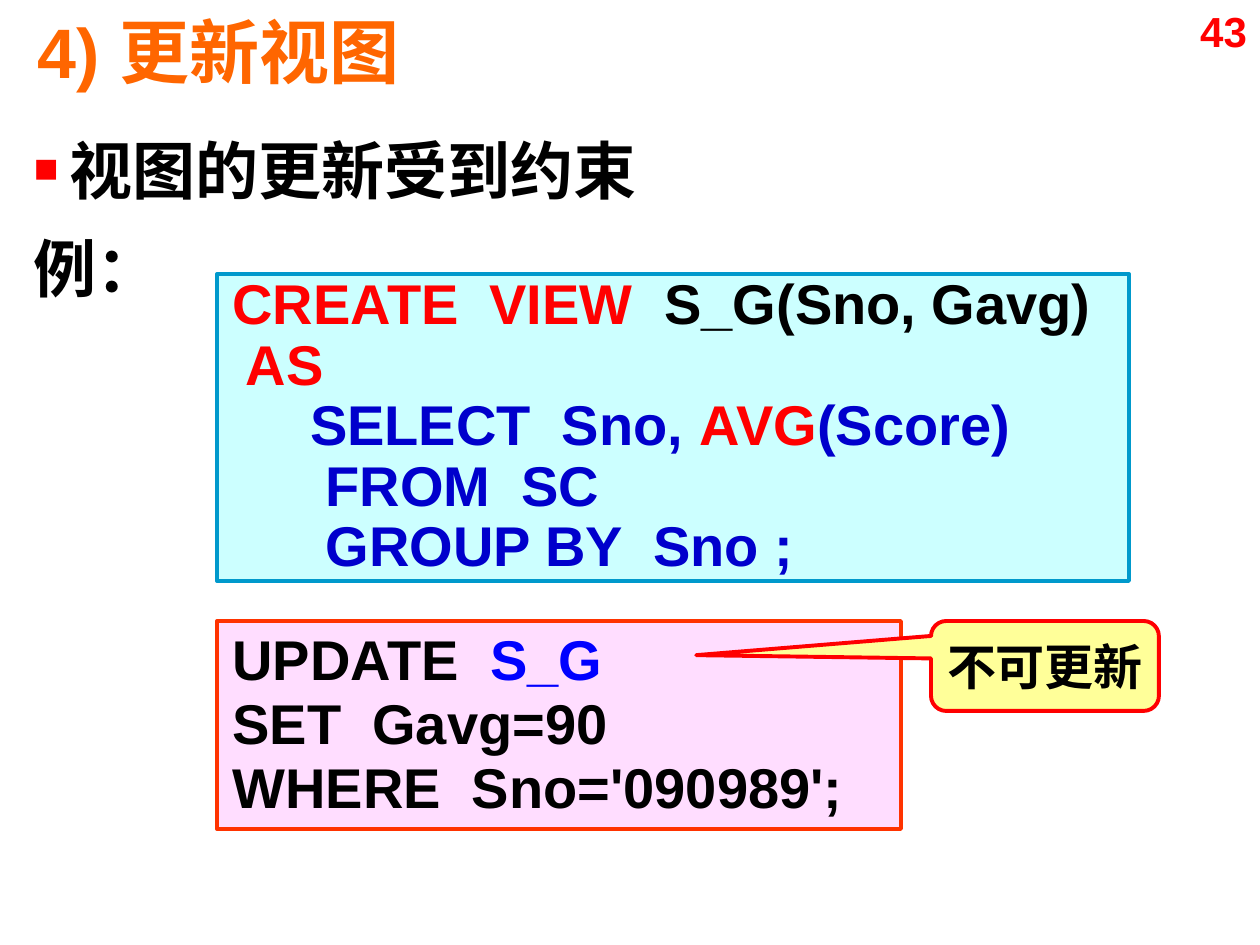
"""Build the slide on updating views, with its SQL boxes and callout."""
from lxml.etree import SubElement
from pptx import Presentation
from pptx.dml.color import RGBColor
from pptx.enum.shapes import MSO_SHAPE as Kind
from pptx.enum.text import MSO_ANCHOR as Anchor, MSO_AUTO_SIZE as Fit, PP_ALIGN as Align
from pptx.oxml.ns import qn
from pptx.util import Pt

PX = 914400 / 126
RED, BLACK, NAVY, BLUE = "FF0000", "000000", "0000CC", "0000FF"


def color(code):
    return RGBColor.from_string(code)


def write(box, lines, size=32, font="Arial", align=Align.LEFT, anchor=Anchor.MIDDLE,
          pad=(0, 0), gap=0, pitch=1.0):
    frame = box.text_frame
    frame.word_wrap = True
    frame.auto_size = Fit.NONE
    frame.vertical_anchor = anchor
    frame.margin_left = frame.margin_right = round(pad[0] * PX)
    frame.margin_top = frame.margin_bottom = round(pad[1] * PX)
    for row, line in enumerate(lines):
        para = frame.add_paragraph() if row else frame.paragraphs[0]
        para.alignment = align
        para.line_spacing = pitch
        para.space_before = Pt(gap if row else 0)
        for text, ink in line:
            run = para.add_run()
            run.text = text
            run.font.name = font
            run.font.size = Pt(size)
            run.font.bold = True
            run.font.color.rgb = color(ink)


deck = Presentation()
deck.slide_width = round(1260 * PX)
deck.slide_height = round(945 * PX)
slide = deck.slides.add_slide(deck.slide_layouts[1])
shapes = slide.shapes
title, body = shapes.title, slide.placeholders[1]

for box, place in ((title, (25, 16, 1193, 69)), (body, (21, 125, 1205, 764))):
    box.left, box.top, box.width, box.height = [round(n * PX) for n in place]

write(title, [[("4) 更新视图", "FF6600")]], size=40, pad=(13, 6))
write(body, [[("视图的更新受到约束", BLACK)], [("例：", BLACK)]], size=36,
      font="Times New Roman", anchor=Anchor.TOP, pad=(13, 6), gap=13)

first, last = [para._p.get_or_add_pPr() for para in body.text_frame.paragraphs]
for props in (first, last):
    props.set("marL", str(round(36 * PX)))
    props.set("indent", str(round(-36 * PX)))
SubElement(SubElement(first, qn("a:buClr")), qn("a:srgbClr"), val=RED)
SubElement(first, qn("a:buSzPct"), val="65000")
SubElement(first, qn("a:buFont"), typeface="Arial")
SubElement(first, qn("a:buChar"), char="■")
SubElement(last, qn("a:buNone"))

page = shapes.add_textbox(*[round(n * PX) for n in (1174, 0, 86, 63)])
write(page, [[("43", RED)]], size=24, align=Align.RIGHT, anchor=Anchor.TOP, pad=(13, 6))

view = [
    [(" CREATE  VIEW  ", RED), ("S_G(Sno, Gavg)", BLACK)],
    [("  AS", RED)],
    [("      SELECT  Sno, ", NAVY), ("AVG", RED), ("(Score)", NAVY)],
    [("       FROM  SC", NAVY)],
    [("       GROUP BY  Sno ;", NAVY)],
]
update = [
    [(" UPDATE  ", BLACK), ("S_G", BLUE)],
    [(" SET  Gavg=90", BLACK)],
    [(" WHERE  Sno='090989';", BLACK)],
]
note = [[("不可更新", BLACK)]]

cards = [
    (Kind.RECTANGLE, (217, 274, 912, 307), "CCFFFF", "0099CC", view, dict(pitch=0.9)),
    (Kind.RECTANGLE, (217, 621, 684, 208), "FFDDFF", "FF3300", update, dict(pitch=0.95)),
    (Kind.ROUNDED_RECTANGULAR_CALLOUT, (931, 621, 228, 90), "FFFF99", RED, note,
     dict(size=28, align=Align.CENTER)),
]
for kind, place, fill, edge, lines, style in cards:
    card = shapes.add_shape(kind, *[round(n * PX) for n in place])
    card.shadow.inherit = False
    card.fill.solid()
    card.fill.fore_color.rgb = color(fill)
    card.line.color.rgb = color(edge)
    card.line.width = Pt(2.25)
    write(card, lines, **style)
    if kind == Kind.ROUNDED_RECTANGULAR_CALLOUT:
        for spot, value in enumerate((-1.53, -0.12, 0.17)):
            card.adjustments[spot] = value

deck.save("out.pptx")
